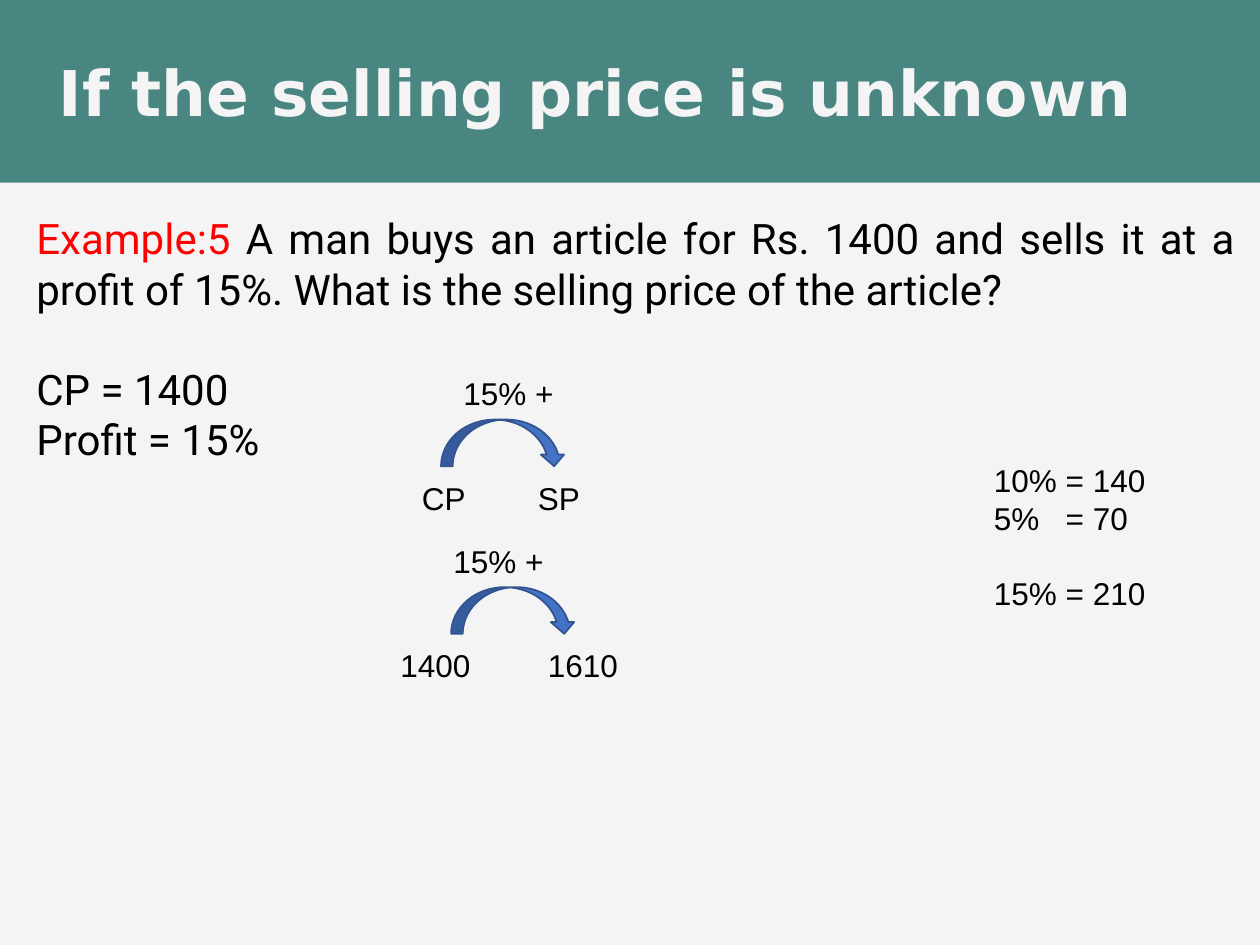
from lxml import etree
from pptx import Presentation
from pptx import util as u
from pptx.dml.color import RGBColor
from pptx.enum import shapes, text
from pptx.oxml.ns import qn

COLORS = {
    "background": "F4F4F5",
    "band": "498682",
    "title": "F4F4F5",
    "label": "FF0000",
    "body": "000000",
    "arrow": "4472C4",
    "arrow_edge": "325491",
}
TITLE = {"name": "DejaVu Sans", "size": u.Pt(36), "bold": True}
BODY = {"name": "Roboto", "size": u.Pt(24)}
NOTE = {"name": "Arial", "size": u.Pt(18)}


def color(name):
    return RGBColor.from_string(COLORS[name])


def add_filled(slide, preset, box, fill):
    filled = slide.shapes.add_shape(preset, *map(u.Inches, box))
    filled.shadow.inherit = False
    filled.fill.solid()
    filled.fill.fore_color.rgb = color(fill)
    filled.line.fill.background()
    return filled


def add_arc(slide, left, top):
    arc = add_filled(slide, shapes.MSO_SHAPE.CURVED_UP_ARROW,
                     (left, top, 0.99, 0.37), "arrow")
    arc.line.color.rgb = color("arrow_edge")
    arc.line.width = u.Pt(1)
    arc.rotation = 180
    arc._element.spPr.find(qn("a:xfrm")).set("flipH", "1")


def add_run(paragraph, words, style, shade):
    run = paragraph.add_run()
    run.text = words
    for key, value in style.items():
        setattr(run.font, key, value)
    run.font.color.rgb = color(shade)


def add_text(slide, box, lines, style, shade="body", frame_format=None):
    frame = slide.shapes.add_textbox(*map(u.Inches, box)).text_frame
    for key, value in {"word_wrap": True, **(frame_format or {})}.items():
        setattr(frame, key, value)
    for index, words in enumerate(lines):
        paragraph = frame.paragraphs[0] if index == 0 else frame.add_paragraph()
        add_run(paragraph, words, style, shade)
    return frame.paragraphs


def add_tab_stop(paragraph, position):
    stops = etree.SubElement(paragraph._p.get_or_add_pPr(), qn("a:tabLst"))
    etree.SubElement(stops, qn("a:tab"), pos=str(u.Inches(position)), algn="l")


def add_question(slide):
    box = (0.19, 1.64, 9.71, 2.1)
    question, cost, profit = add_text(
        slide, box, ["", "CP = 1400", "Profit = 15%"], BODY)
    question.clear()
    add_run(question, "Example:5 ", BODY, "label")
    add_run(question, "A man buys an article for Rs. 1400 and sells it at a "
            "profit of 15%. What is the selling price of the article?",
            BODY, "body")
    for paragraph in (question, cost, profit):
        paragraph.alignment = text.PP_ALIGN.JUSTIFY
    cost.space_before = u.Pt(28.5)


def add_percent_working(slide):
    ten, five, total = add_text(
        slide, (7.79, 3.61, 1.5, 1.31),
        ["10% = 140", "5%\t= 70", "15% = 210"], NOTE)
    add_tab_stop(five, 0.57)
    total.space_before = u.Pt(21.5)


def add_price_step(slide, top, arc_left, change, cost, selling):
    add_arc(slide, arc_left, top + 0.41)
    fit = {"word_wrap": False,
           "auto_size": text.MSO_AUTO_SIZE.SHAPE_TO_FIT_TEXT}
    for (words, left, width), drop in zip((change, cost, selling),
                                          (0, 0.83, 0.83)):
        add_text(slide, (left, top + drop, width, 0.4), [words], NOTE,
                 frame_format=fit)


def main():
    deck = Presentation()
    deck.slide_width, deck.slide_height = u.Inches(10), u.Inches(7.5)
    slide = deck.slides.add_slide(deck.slide_layouts[6])
    slide.background.fill.solid()
    slide.background.fill.fore_color.rgb = color("background")

    add_filled(slide, shapes.MSO_SHAPE.RECTANGLE, (0, 0, 10, 1.45), "band")
    add_text(slide, (0.37, 0, 9.44, 1.45), ["If the selling price is unknown"],
             TITLE, "title", {"vertical_anchor": text.MSO_ANCHOR.MIDDLE})
    add_question(slide)
    add_price_step(slide, 2.92, 3.5, ("15% +", 3.58, 0.92),
                   ("CP", 3.25, 0.55), ("SP", 4.17, 0.54))
    add_price_step(slide, 4.25, 3.58, ("15% +", 3.5, 0.99),
                   ("1400", 3.08, 0.76), ("1610", 4.25, 0.76))
    add_percent_working(slide)
    deck.save("out.pptx")


if __name__ == "__main__":
    main()
